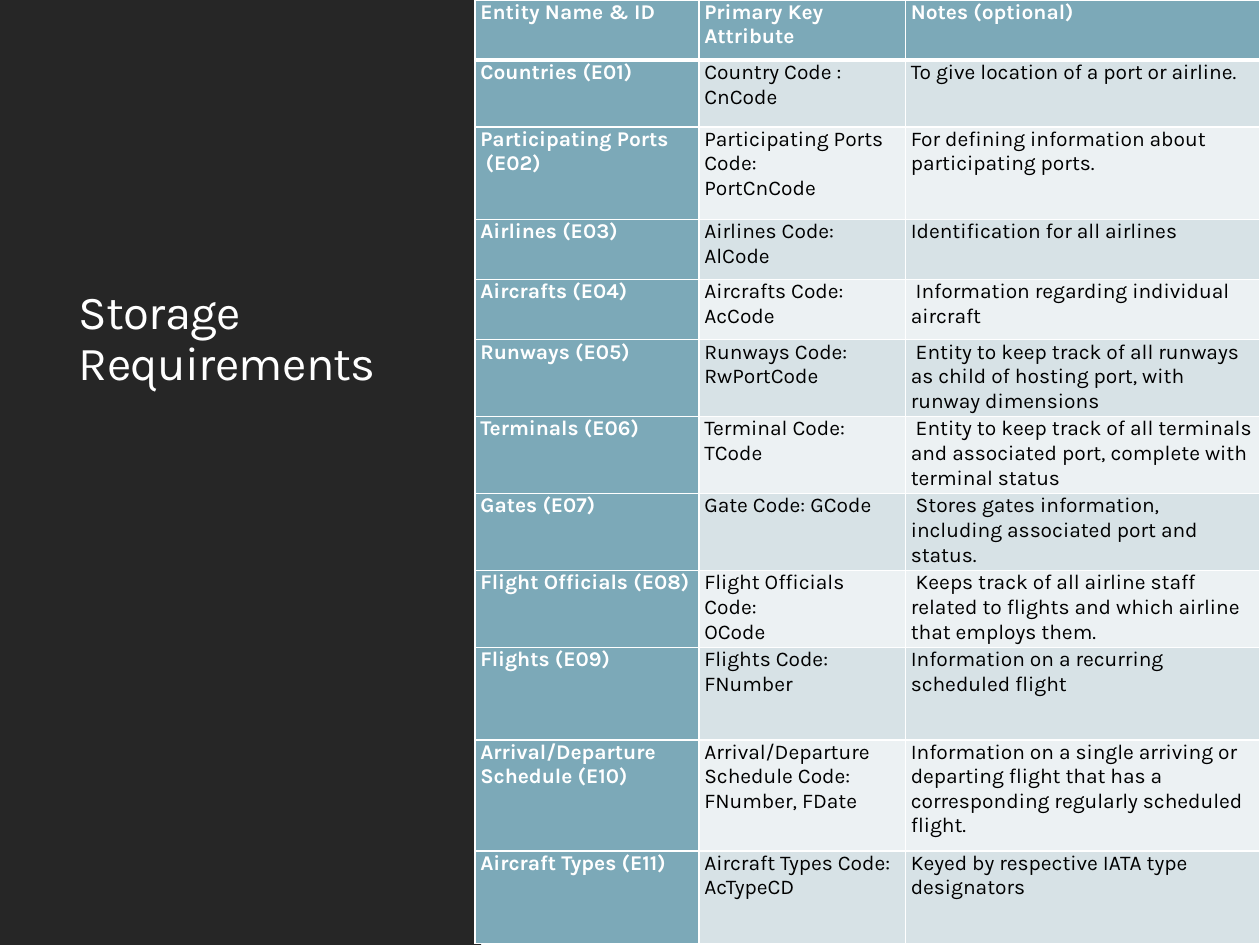
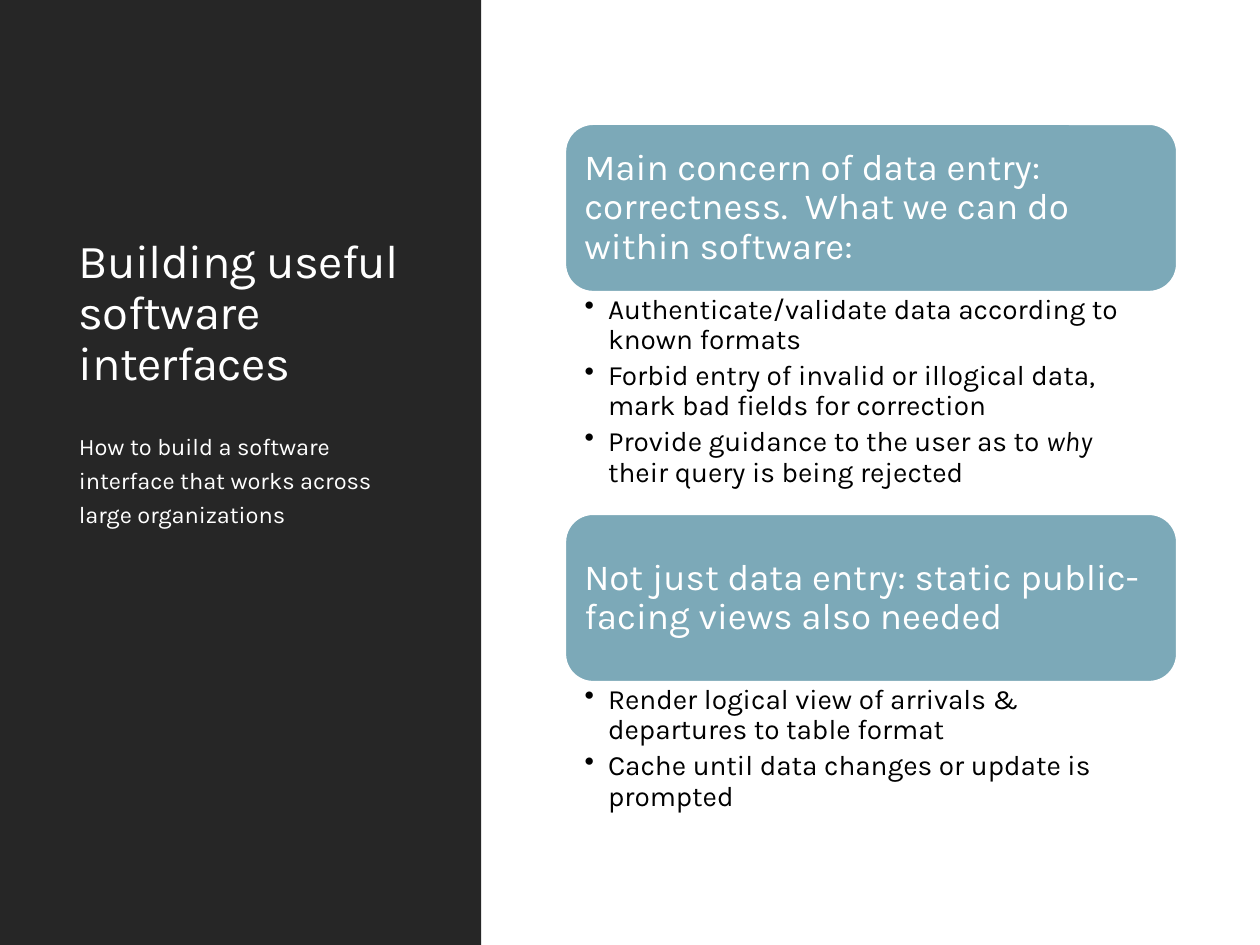
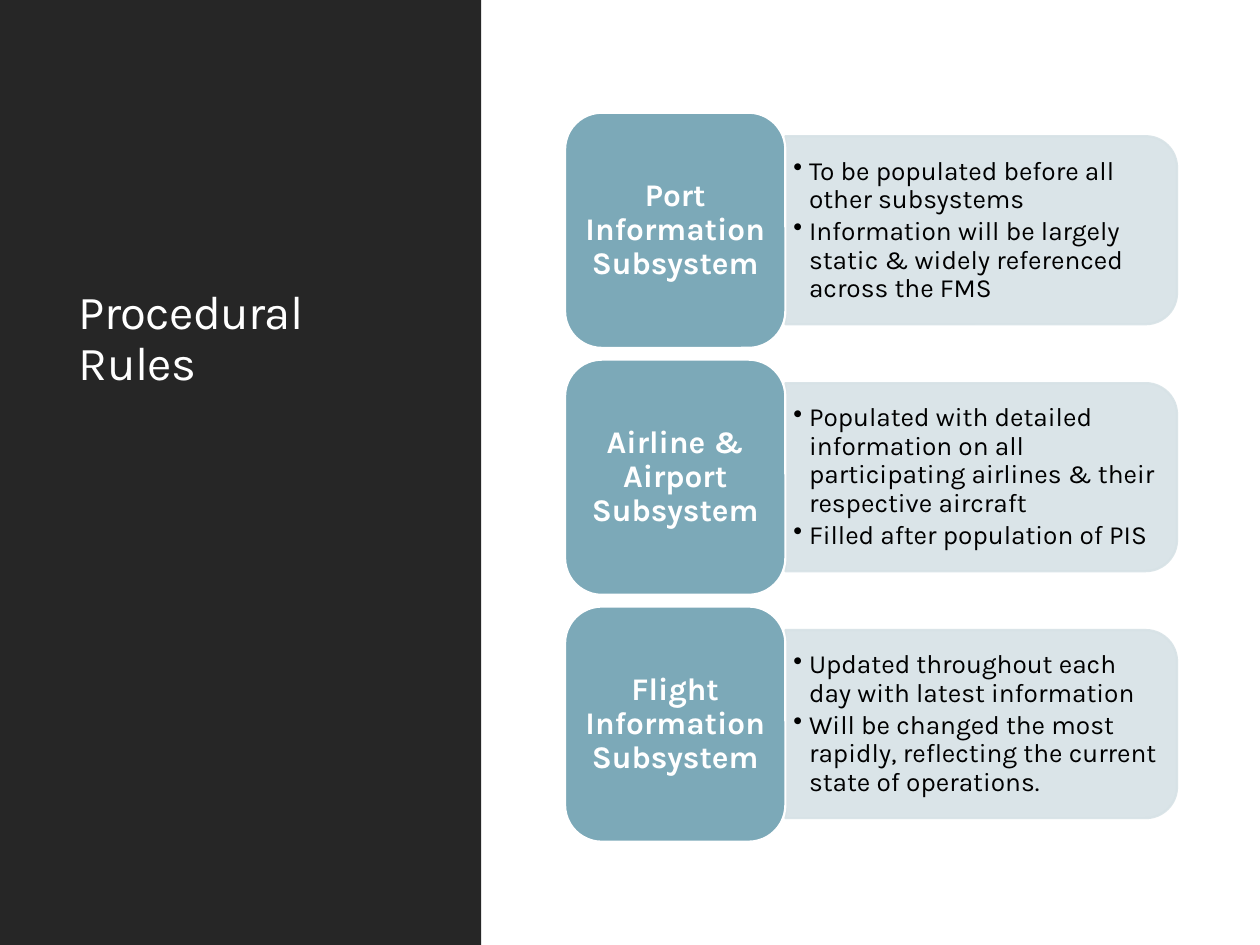
from dataclasses import dataclass

from lxml.etree import SubElement
from pptx import Presentation
from pptx.dml.color import RGBColor
from pptx.enum.shapes import MSO_SHAPE
from pptx.enum.text import MSO_ANCHOR, PP_ALIGN
from pptx.oxml.ns import qn
from pptx.util import Pt

FONT = "Karla"
COLORS = {
    "panel": "262626",
    "teal": "7CA9B8",
    "mist": "D7E2E6",
    "pale": "ECF1F3",
    "white": "FFFFFF",
    "black": "000000",
}


@dataclass(frozen=True)
class Box:
    left: float
    top: float
    width: float
    height: float

    def lengths(self) -> tuple:
        return Pt(self.left), Pt(self.top), Pt(self.width), Pt(self.height)


@dataclass(frozen=True)
class TextStyle:
    size: float
    color: str = "white"
    bold: bool = False
    align: PP_ALIGN = PP_ALIGN.LEFT
    anchor: MSO_ANCHOR = MSO_ANCHOR.TOP
    line_spacing: float = 0.9
    before: float = 0
    after: float = 0
    tracking: float = 0
    bullet_indent: float = 0
    insets: tuple = (7.2, 3.6, 7.2, 3.6)  # left, top, right, bottom


@dataclass(frozen=True)
class Topic:
    heading: str
    points: tuple
    points_height: float = 0


# Text styles
TITLE = TextStyle(27, anchor=MSO_ANCHOR.BOTTOM, tracking=-0.4)
SUBTITLE = TextStyle(13.5, line_spacing=1.2, before=9, after=1.5)
HEADER_CELL = TextStyle(12, bold=True, line_spacing=1, insets=(3, 0, 3, 0))
BODY_CELL = TextStyle(12, "black", line_spacing=1, insets=(3, 0, 3, 0))
CONCERN = TextStyle(21, anchor=MSO_ANCHOR.MIDDLE, insets=(6.3,) * 4)
CONCERN_POINTS = TextStyle(16, "black", after=3.3, bullet_indent=13.5,
                           insets=(11.1, 2, 11.4, 2))
SUBSYSTEM = TextStyle(18, bold=True, align=PP_ALIGN.CENTER,
                      anchor=MSO_ANCHOR.MIDDLE, insets=(5.4, 2.7, 5.4, 2.7))
SUBSYSTEM_POINTS = TextStyle(15, "black", anchor=MSO_ANCHOR.MIDDLE, after=2.2,
                             bullet_indent=9, insets=(4.5, 2.2, 4.5, 2.2))

# Shared layout
SIDE_PANEL = Box(0, 0, 275, 540)
TITLE_BOX = Box(38, 62, 208, 165)
SUBTITLE_BOX = Box(38, 240, 208, 241)
CONTENT_LEFT, CONTENT_WIDTH = 322.9, 349.7

# Slide content
COLUMN_WIDTHS = (128, 118, 202.5)
ROW_HEIGHTS = (34.4, 38.2, 52.8, 34.4, 34.4, 44, 44, 44, 44, 52.8, 63.4, 52.8)
ENTITIES = (
    ("Entity Name & ID", "Primary Key Attribute", "Notes (optional)"),
    ("Countries (E01)", "Country Code : CnCode",
     "To give location of a port or airline."),
    ("Participating Ports\n (E02)", "Participating Ports Code:\nPortCnCode",
     "For defining information about participating ports."),
    ("Airlines (E03)", "Airlines Code: AlCode",
     "Identification for all airlines"),
    ("Aircrafts (E04)", "Aircrafts Code: AcCode",
     " Information regarding individual aircraft"),
    ("Runways (E05)", "Runways Code:\nRwPortCode",
     " Entity to keep track of all runways as child of hosting port, "
     "with runway dimensions"),
    ("Terminals (E06)", "Terminal Code: TCode",
     " Entity to keep track of all terminals and associated port, "
     "complete with terminal status"),
    ("Gates (E07)", "Gate Code: GCode",
     " Stores gates information, including associated port and status."),
    ("Flight Officials (E08)", "Flight Officials Code:\nOCode",
     " Keeps track of all airline staff related to flights and which "
     "airline that employs them."),
    ("Flights (E09)", "Flights Code: FNumber",
     "Information on a recurring scheduled flight"),
    ("Arrival/Departure Schedule (E10)",
     "Arrival/Departure Schedule Code:\nFNumber, FDate",
     "Information on a single arriving or departing flight that has a "
     "corresponding regularly scheduled flight."),
    ("Aircraft Types (E11)", "Aircraft Types Code:\nAcTypeCD",
     "Keyed by respective IATA type designators"),
)
# Words between asterisks are set in italics
CONCERNS = (
    Topic("Main concern of data entry:  correctness.  "
          "What we can do within software:",
          ("Authenticate/validate data according to known formats",
           "Forbid entry of invalid or illogical data, mark bad fields "
           "for correction",
           "Provide guidance to the user as to *why* their query is being "
           "rejected"), 126.9),
    Topic("Not just data entry: static public-facing views also needed",
          ("Render logical view of arrivals & departures to table format",
           "Cache until data changes or update is prompted"), 83.5),
)
SUBSYSTEMS = (
    Topic("Port Information Subsystem",
          ("To be populated before all other subsystems",
           "Information will be largely static & widely referenced across "
           "the FMS")),
    Topic("Airline & Airport Subsystem",
          ("Populated with detailed information on all participating "
           "airlines & their respective aircraft",
           "Filled after population of PIS")),
    Topic("Flight Information Subsystem",
          ("Updated throughout each day with latest information",
           "Will be changed the most rapidly, reflecting the current state "
           "of operations.")),
)


# Drawing helpers
def rgb(color: str) -> RGBColor:
    return RGBColor.from_string(COLORS[color])


def write(frame, text: str, style: TextStyle) -> None:
    frame.text = text
    frame.word_wrap = True
    frame.vertical_anchor = style.anchor
    (frame.margin_left, frame.margin_top,
     frame.margin_right, frame.margin_bottom) = map(Pt, style.insets)
    for paragraph in frame.paragraphs:
        first, *rest = paragraph.text.split("*")
        paragraph.text = first
        for piece in rest:
            paragraph.add_run().text = piece
        paragraph.alignment = style.align
        paragraph.line_spacing = style.line_spacing
        paragraph.space_before = Pt(style.before)
        paragraph.space_after = Pt(style.after)
        if style.bullet_indent:
            properties = paragraph._p.get_or_add_pPr()
            properties.set("marL", str(Pt(style.bullet_indent)))
            properties.set("indent", str(-Pt(style.bullet_indent)))
            SubElement(properties, qn("a:buChar"), char="•")
        for index, run in enumerate(paragraph.runs):
            run.font.name = FONT
            run.font.size = Pt(style.size)
            run.font.bold = style.bold
            run.font.italic = index % 2 == 1
            run.font.color.rgb = rgb(style.color)
            if style.tracking:
                run._r.get_or_add_rPr().set("spc", str(round(style.tracking * 100)))


def add_text(slide, box: Box, text: str, style: TextStyle) -> None:
    write(slide.shapes.add_textbox(*box.lengths()).text_frame, text, style)


def add_block(slide, kind: MSO_SHAPE, box: Box, fill: str, line: str = ""):
    block = slide.shapes.add_shape(kind, *box.lengths())
    block.shadow.inherit = False
    block.fill.solid()
    block.fill.fore_color.rgb = rgb(fill)
    if line:
        block.line.color.rgb = rgb(line)
        block.line.width = Pt(1.25)
    else:
        block.line.fill.background()
    return block


def add_heading(slide, box: Box, text: str, style: TextStyle) -> None:
    heading = add_block(slide, MSO_SHAPE.ROUNDED_RECTANGLE, box, "teal", "white")
    write(heading.text_frame, text, style)


def add_titled_slide(deck, title: str):
    slide = deck.slides.add_slide(deck.slide_layouts[6])
    add_block(slide, MSO_SHAPE.RECTANGLE, SIDE_PANEL, "panel")
    add_text(slide, TITLE_BOX, title, TITLE)
    return slide


def set_borders(cell, top: float, bottom: float) -> None:
    properties = cell._tc.get_or_add_tcPr()
    sides = (("lnL", 1), ("lnR", 1), ("lnT", top), ("lnB", bottom))
    for position, (side, width) in enumerate(sides):
        border = SubElement(properties, qn(f"a:{side}"), w=str(Pt(width)))
        fill = SubElement(border, qn("a:solidFill"))
        SubElement(fill, qn("a:srgbClr"), val=COLORS["white"])
        properties.insert(position, border)


# Slides
def build_storage(deck) -> None:
    slide = add_titled_slide(deck, "Storage Requirements")
    box = Box(271.5, 0, sum(COLUMN_WIDTHS), sum(ROW_HEIGHTS))
    entities = slide.shapes.add_table(
        len(ROW_HEIGHTS), len(COLUMN_WIDTHS), *box.lengths()).table
    entities.first_row = entities.horz_banding = False
    for column, width in zip(entities.columns, COLUMN_WIDTHS):
        column.width = Pt(width)
    for row, (height, texts) in enumerate(zip(ROW_HEIGHTS, ENTITIES)):
        entities.rows[row].height = Pt(height)
        for column, text in enumerate(texts):
            cell = entities.cell(row, column)
            is_header = row == 0 or column == 0
            style = HEADER_CELL if is_header else BODY_CELL
            write(cell.text_frame, text, style)
            (cell.margin_left, cell.margin_top,
             cell.margin_right, cell.margin_bottom) = map(Pt, style.insets)
            cell.fill.solid()
            band = "mist" if row % 2 else "pale"
            cell.fill.fore_color.rgb = rgb("teal" if is_header else band)
            set_borders(cell, top=3 if row == 1 else 1,
                        bottom=3 if row == 0 else 1)


def build_interfaces(deck) -> None:
    slide = add_titled_slide(deck, "Building useful software interfaces")
    add_text(slide, SUBTITLE_BOX,
             "How to build a software interface that works across large "
             "organizations", SUBTITLE)
    top, heading_height = 70.8, 96
    for concern in CONCERNS:
        add_heading(slide, Box(CONTENT_LEFT, top, CONTENT_WIDTH, heading_height),
                    concern.heading, CONCERN)
        top += heading_height
        add_text(slide,
                 Box(CONTENT_LEFT, top, CONTENT_WIDTH, concern.points_height),
                 "\n".join(concern.points), CONCERN_POINTS)
        top += concern.points_height


def build_rules(deck) -> None:
    slide = add_titled_slide(deck, "Procedural Rules")
    first_top, pitch = 64.4, 141.1
    tile_width, tile_height = 125.9, 134.4
    card_width, card_height = 223.8, 107.5
    card_left = CONTENT_LEFT + tile_width
    for index, subsystem in enumerate(SUBSYSTEMS):
        top = first_top + index * pitch
        middle = top + tile_height / 2
        # Card turned a quarter so that its round corners face right
        upright = Box(card_left + (card_width - card_height) / 2,
                      middle - card_width / 2, card_height, card_width)
        card = add_block(slide, MSO_SHAPE.ROUND_2_SAME_RECTANGLE, upright,
                         "mist", "mist")
        card.rotation = 90
        for color in card._element.spPr.iter(qn("a:srgbClr")):
            SubElement(color, qn("a:alpha"), val="90000")
        add_text(slide, Box(card_left, middle - 48.5, 218.6, 97),
                 "\n".join(subsystem.points), SUBSYSTEM_POINTS)
        add_heading(slide, Box(CONTENT_LEFT, top, tile_width, tile_height),
                    subsystem.heading, SUBSYSTEM)


def main() -> None:
    deck = Presentation()
    deck.slide_width, deck.slide_height = Pt(720), Pt(540)
    build_storage(deck)
    build_interfaces(deck)
    build_rules(deck)
    deck.save("out.pptx")


if __name__ == "__main__":
    main()
